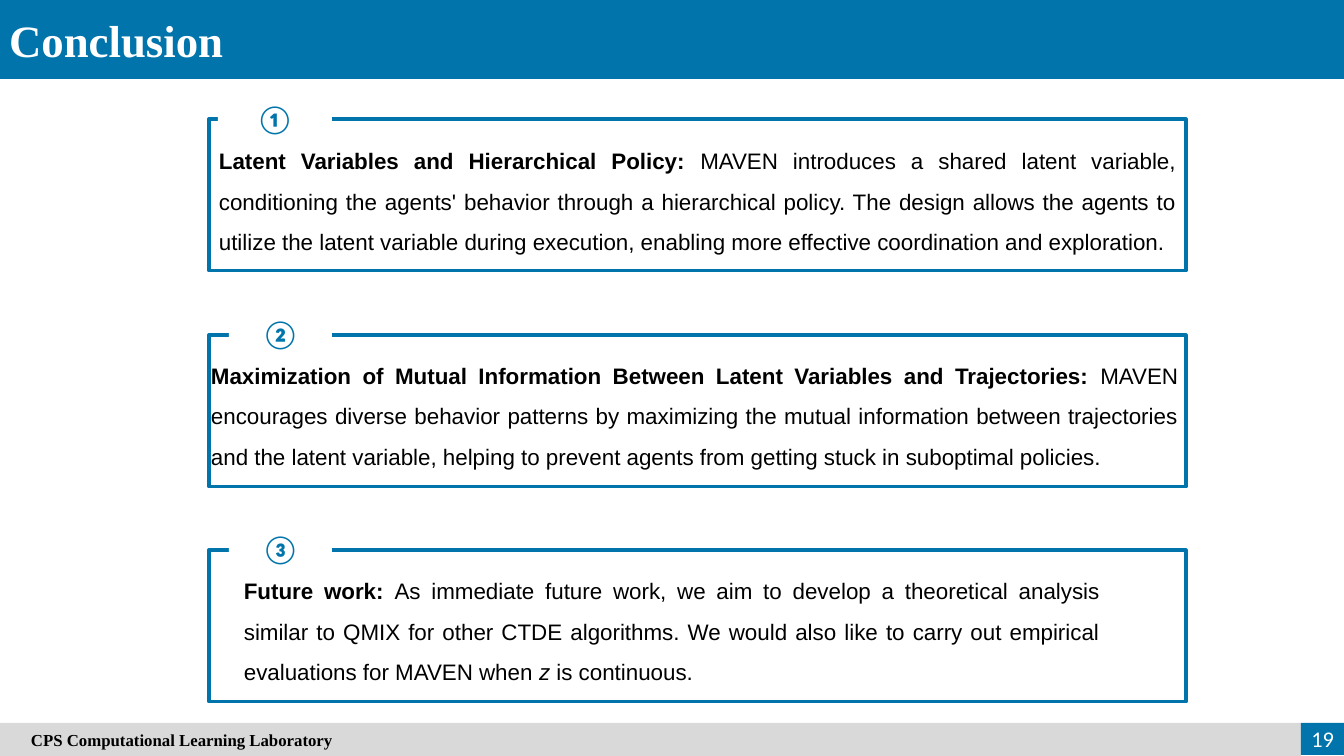
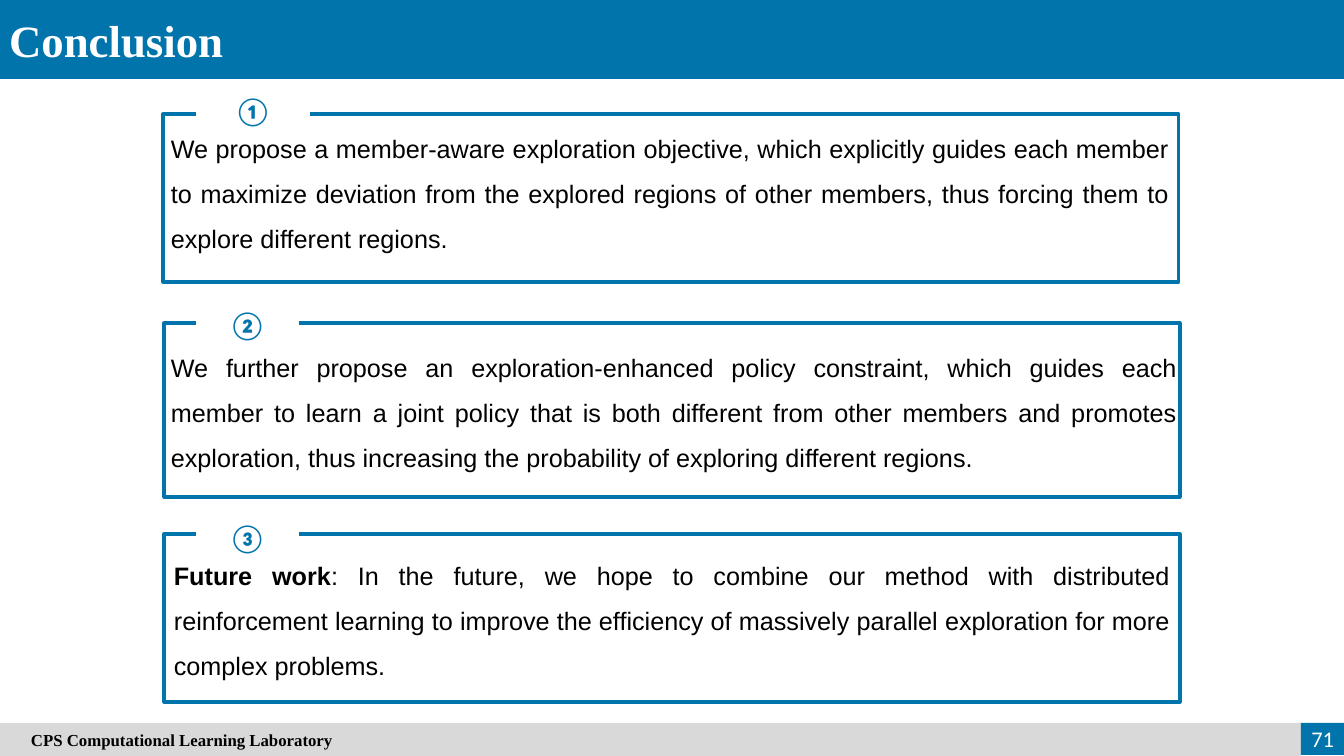
from pptx import Presentation
from pptx.dml.color import RGBColor
from pptx.enum.shapes import MSO_SHAPE as SHAPE
from pptx.enum.text import MSO_ANCHOR as ANCHOR, MSO_AUTO_SIZE as AUTO, PP_ALIGN as ALIGN
from pptx.util import Pt

PX = 914400 / 100.8
WIDTH, HEIGHT = 1344, 756
BLUE, GREY, WHITE, BLACK = "0174AB", "D9D9D9", "FFFFFF", "000000"
SANS, SERIF, NUMBER = "Arial", "Times New Roman", "Calibri"
BAND_H, FOOTER_Y, FOOTER_W, LABEL_H = 79, 723, 1301, 55

SLIDES = [
    {
        "page": "19", "size": 16, "text_h": 132,
        "items": [
            ("①", (209, 119, 977, 152), (218, 91, 114), (209, 129, 977), [
                ("Latent Variables and Hierarchical Policy: ", "b"),
                ("MAVEN introduces a shared latent variable, conditioning the agents' "
                 "behavior through a hierarchical policy. The design allows the agents to "
                 "utilize the latent variable during execution, enabling more effective "
                 "coordination and exploration.", "")]),
            ("②", (209, 335, 977, 152), (229, 306, 103), (201, 344, 987), [
                ("Maximization of Mutual Information Between Latent Variables and "
                 "Trajectories:", "b"),
                (" MAVEN encourages diverse behavior patterns by maximizing the mutual "
                 "information between trajectories and the latent variable, helping to "
                 "prevent agents from getting stuck in suboptimal policies.", "")]),
            ("③", (209, 550, 977, 152), (229, 521, 103), (234, 559, 876), [
                ("Future work: ", "b"),
                ("As immediate future work, we aim to develop a theoretical analysis "
                 "similar to QMIX for other CTDE algorithms. We would also like to carry "
                 "out empirical evaluations for MAVEN when ", ""),
                ("z", "i"),
                (" is continuous.", "")]),
        ],
    },
    {
        "page": "71", "size": 18, "text_h": 147,
        "items": [
            ("①", (163, 114, 1016, 168), (196, 83, 114), (161, 113, 1018), [
                ("We propose a member-aware exploration objective, which explicitly "
                 "guides each member to maximize deviation from the explored regions of "
                 "other members, thus forcing them to explore different regions.", "")]),
            ("②", (164, 323, 1016, 174), (196, 297, 103), (161, 332, 1026), [
                ("We further propose an exploration-enhanced policy constraint, which "
                 "guides each member to learn a joint policy that is both different from "
                 "other members and promotes exploration, thus increasing the probability "
                 "of exploring different regions.", "")]),
            ("③", (164, 534, 1016, 168), (196, 510, 103), (164, 540, 1016), [
                ("Future work", "b"),
                (": In the future, we hope to combine our method with distributed "
                 "reinforcement learning to improve the efficiency of massively parallel "
                 "exploration for more complex problems.", "")]),
        ],
    },
]


def add_rect(s, box, fill=None, line=None):
    sp = s.shapes.add_shape(SHAPE.RECTANGLE, *(round(v * PX) for v in box))
    sp.shadow.inherit = False
    if fill:
        sp.fill.solid()
        sp.fill.fore_color.rgb = RGBColor.from_string(fill)
    else:
        sp.fill.background()
    if line:
        sp.line.color.rgb = RGBColor.from_string(line)
        sp.line.width = Pt(2.25)
    else:
        sp.line.fill.background()
    return sp


def write(sp, runs, font, size, color, bold=None, align=ALIGN.LEFT, anchor=ANCHOR.MIDDLE,
          spacing=None):
    tf = sp.text_frame
    tf.word_wrap = True
    tf.auto_size = AUTO.NONE
    tf.vertical_anchor = anchor
    p = tf.paragraphs[0]
    p.alignment = align
    p.line_spacing = spacing
    p.font.name = font
    p.font.size = Pt(size)
    p.font.bold = bold
    p.font.color.rgb = RGBColor.from_string(color)
    for text, style in runs:
        r = p.add_run()
        r.text = text
        if style == "b":
            r.font.bold = True
        if style == "i":
            r.font.italic = True
    return tf


prs = Presentation()
prs.slide_width, prs.slide_height = round(WIDTH * PX), round(HEIGHT * PX)

for slide in SLIDES:
    s = prs.slides.add_slide(prs.slide_layouts[5])

    title = s.shapes.title
    title.left, title.top, title.width, title.height = (
        round(v * PX) for v in (-1, 8, 541, 64))
    write(title, [("Conclusion", "")], SERIF, 32, WHITE, True, anchor=ANCHOR.TOP)
    band = add_rect(s, (0, 0, WIDTH, BAND_H), BLUE)
    title.element.addprevious(band.element)

    footer = add_rect(s, (0, FOOTER_Y, FOOTER_W, HEIGHT - FOOTER_Y), GREY)
    tf = write(footer, [("CPS Computational Learning Laboratory", "")], SERIF, 12, BLACK, True)
    tf.margin_left = round(31 * PX)

    page = add_rect(s, (FOOTER_W, FOOTER_Y, WIDTH - FOOTER_W, 32), BLUE)
    tf = write(page, [(slide["page"], "")], NUMBER, 16, WHITE, align=ALIGN.RIGHT)
    tf.margin_left = 0

    for number, frame, label, text, runs in slide["items"]:
        add_rect(s, frame, line=BLUE)
        sp = add_rect(s, (*label, LABEL_H), WHITE)
        write(sp, [(number, "")], NUMBER, 20, BLUE, True, ALIGN.CENTER)
        sp = s.shapes.add_textbox(*(round(v * PX) for v in (*text, slide["text_h"])))
        write(sp, runs, SANS, slide["size"], BLACK, align=ALIGN.JUSTIFY,
              anchor=ANCHOR.TOP, spacing=1.5)

prs.save("out.pptx")
